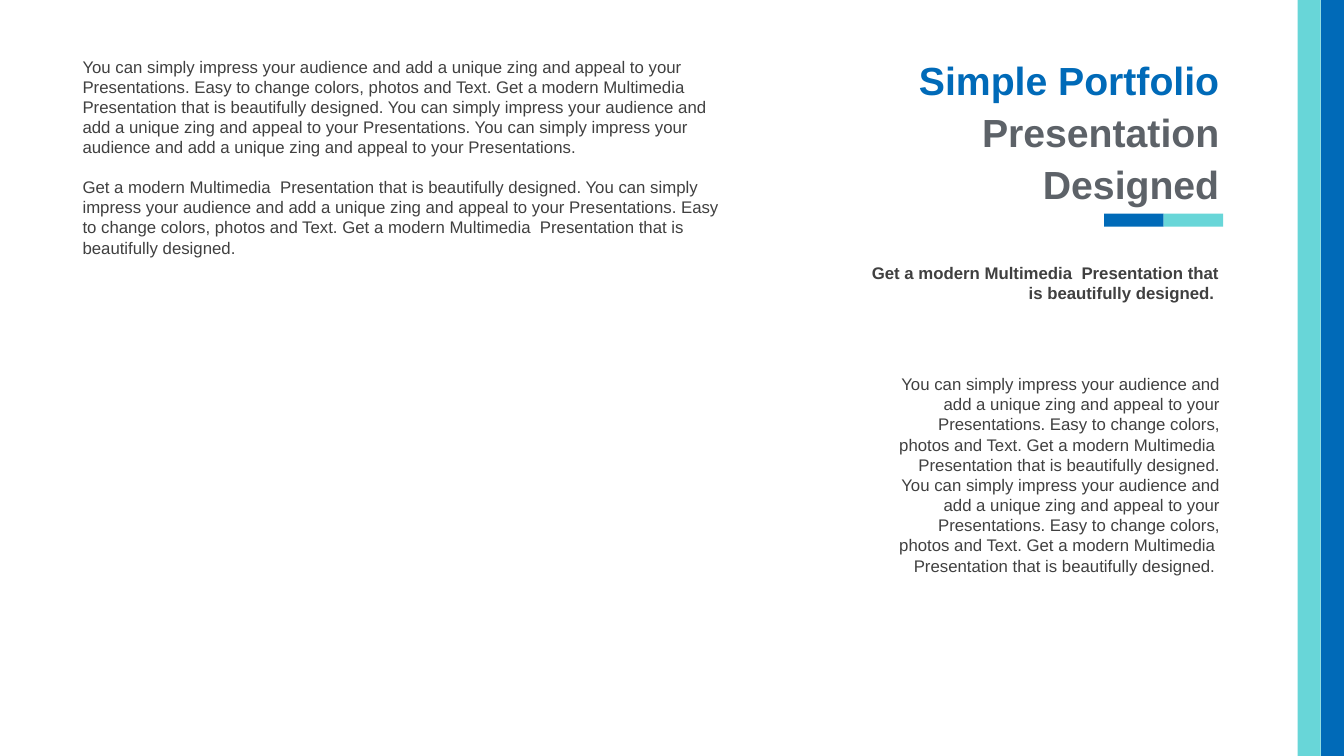
"""Build a portfolio slide with right-aligned heading and side stripes."""
from dataclasses import dataclass

from pptx import Presentation
from pptx.dml.color import RGBColor
from pptx.enum.shapes import MSO_SHAPE
from pptx.enum.text import MSO_ANCHOR, PP_ALIGN
from pptx.util import Inches, Pt


@dataclass(frozen=True)
class Theme:
    font: str = "Arial"
    blue: str = "006AB8"
    teal: str = "68D6D8"
    gray: str = "5D6268"
    text: str = "404040"
    title_size: int = 28
    body_size: int = 12
    paragraph_gap: int = 14


THEME = Theme()
WIDTH, HEIGHT = 13.33, 7.5

IMPRESS = "You can simply impress your audience and add a unique zing and appeal to your Presentations."
CHANGE = "Easy to change colors, photos and Text."
MODERN = "Get a modern Multimedia  Presentation that is beautifully designed."
PITCH = f"{IMPRESS} {CHANGE} {MODERN}"

TITLE = [[("Simple Portfolio ", THEME.blue), ("Presentation Designed", THEME.gray)]]
SUBTITLE = [[(f"{MODERN} ", THEME.text)]]
SIDE_TEXT = [[(f"{PITCH} {PITCH} ", THEME.text)]]
MAIN_TEXT = [
    [(f"{PITCH} {IMPRESS} {IMPRESS}", THEME.text)],
    [(f"{MODERN} {PITCH}", THEME.text)],
]

STRIPE_WIDTH = 0.23
ACCENT_LEFT, ACCENT_TOP, ACCENT_WIDTH, ACCENT_HEIGHT = 10.95, 2.12, 0.59, 0.13


def add_bar(page, place, color):
    bar = page.shapes.add_shape(MSO_SHAPE.RECTANGLE, *map(Inches, place))
    bar.shadow.inherit = False
    bar.fill.solid()
    bar.fill.fore_color.rgb = RGBColor.from_string(color)
    bar.line.fill.background()


def add_text(page, place, paragraphs, size=THEME.body_size, bold=False,
             align=PP_ALIGN.RIGHT, anchor=MSO_ANCHOR.TOP, line_spacing=1.0):
    frame = page.shapes.add_textbox(*map(Inches, place)).text_frame
    frame.word_wrap = True
    frame.vertical_anchor = anchor
    for index, spans in enumerate(paragraphs):
        para = frame.add_paragraph() if index else frame.paragraphs[0]
        para.alignment = align
        para.line_spacing = line_spacing
        if index:
            para.space_before = Pt(THEME.paragraph_gap)
        for words, color in spans:
            span = para.add_run()
            span.text = words
            span.font.name = THEME.font
            span.font.size = Pt(size)
            span.font.bold = bold
            span.font.color.rgb = RGBColor.from_string(color)


def main():
    deck = Presentation()
    deck.slide_width, deck.slide_height = Inches(WIDTH), Inches(HEIGHT)
    page = deck.slides.add_slide(deck.slide_layouts[6])

    for index, color in enumerate((THEME.blue, THEME.teal)):
        stripe_left = WIDTH - (index + 1) * STRIPE_WIDTH
        add_bar(page, (stripe_left, 0, STRIPE_WIDTH, HEIGHT), color)
        accent_left = ACCENT_LEFT + index * ACCENT_WIDTH
        add_bar(page, (accent_left, ACCENT_TOP, ACCENT_WIDTH, ACCENT_HEIGHT), color)

    add_text(page, (8.81, 0.48, 3.38, 1.61), TITLE, THEME.title_size, bold=True,
             anchor=MSO_ANCHOR.MIDDLE, line_spacing=1.1)
    add_text(page, (8.39, 2.56, 3.8, 0.5), SUBTITLE, bold=True)
    add_text(page, (8.81, 3.66, 3.39, 2.12), SIDE_TEXT)
    add_text(page, (0.72, 0.51, 6.65, 2.12), MAIN_TEXT, align=PP_ALIGN.LEFT)

    deck.save("out.pptx")


if __name__ == "__main__":
    main()
